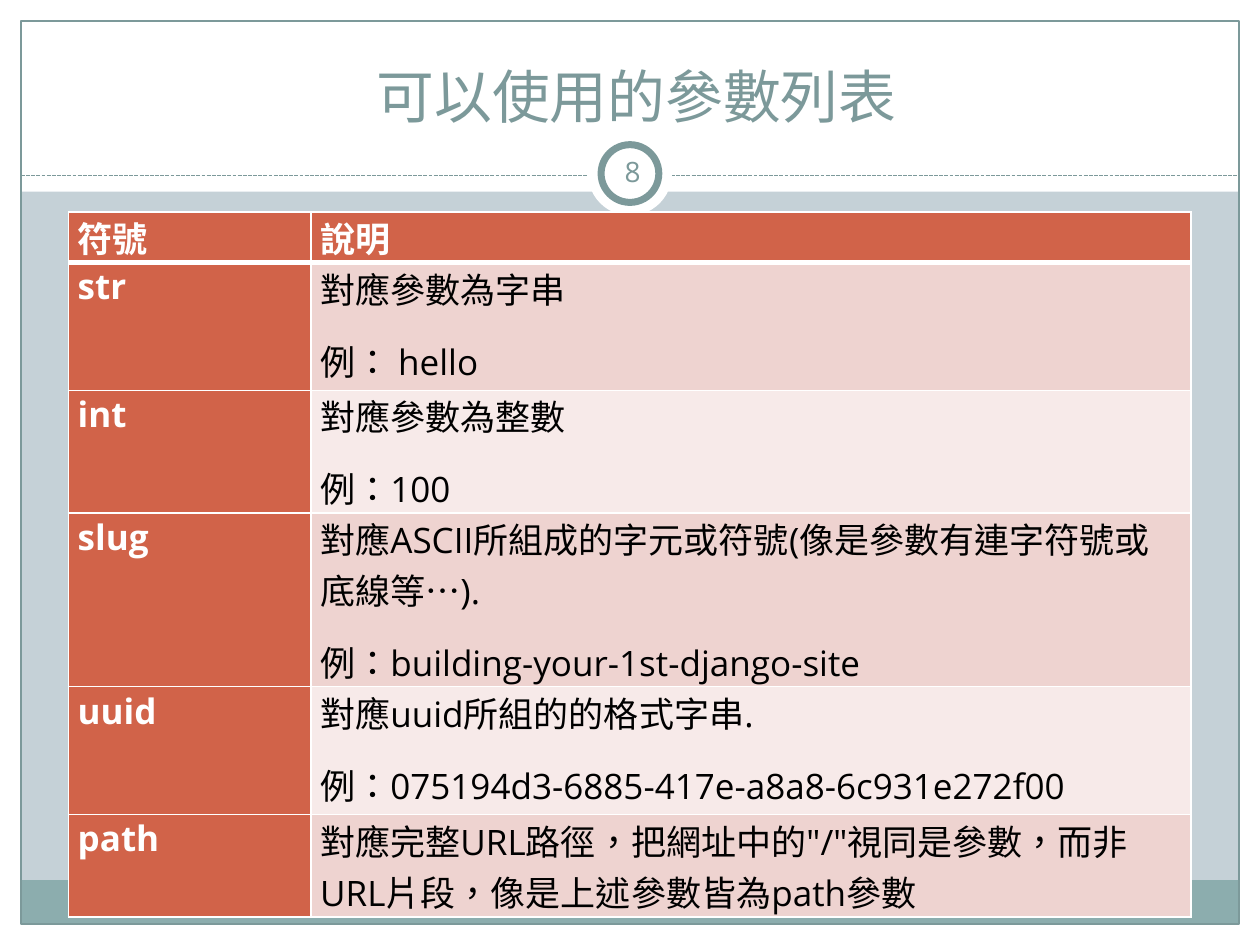
from lxml.etree import SubElement
from pptx import Presentation
from pptx.dml.color import RGBColor
from pptx.enum.dml import MSO_LINE
from pptx.enum.lang import MSO_LANGUAGE_ID as Language
from pptx.enum.shapes import MSO_CONNECTOR, MSO_SHAPE as Shape
from pptx.enum.text import MSO_ANCHOR as Anchor, PP_ALIGN as Align
from pptx.oxml.ns import qn
from pptx.util import Pt

FONT = "Open Sans"
WHITE, TEAL, BAND = "FFFFFF", "7C999A", "8CADAE"
BACKGROUND, ORANGE = "C5D1D7", "D16349"
ROW_TINTS = ("EED3D0", "F7EAE9")
WIDTH, HEIGHT, MARGIN = 720, 540, 12

COLUMN_WIDTHS = (138.6, 503)
ROW_HEIGHTS = (29, 73, 70.2, 99.2, 73, 58.6)
PARAMETERS = (
    ("符號", ("說明",)),
    ("str", ("對應參數為字串", "例： hello")),
    ("int", ("對應參數為整數", "例：100")),
    ("slug", ("對應ASCII所組成的字元或符號(像是參數有連字符號或底線等…). ",
              "例：building-your-1st-django-site")),
    ("uuid", ("對應uuid所組的的格式字串.",
              "例：075194d3-6885-417e-a8a8-6c931e272f00")),
    ("path", ('對應完整URL路徑，把網址中的"/"視同是參數，'
              "而非URL片段，像是上述參數皆為path參數",)),
)


def color(value):
    return RGBColor.from_string(value)


def paint(target, value):
    target.fill.solid()
    target.fill.fore_color.rgb = color(value)


def style(paragraph, size, value, bold=False):
    font = paragraph.font
    font.name, font.size, font.bold = FONT, Pt(size), bold
    font.color.rgb = color(value)
    for run in paragraph.runs:
        run.font.language_id = Language.TRADITIONAL_CHINESE


def add_box(slide, kind, left, top, width, height, fill=None, line=None, weight=0.75):
    box = slide.shapes.add_shape(kind, Pt(left), Pt(top), Pt(width), Pt(height))
    box.shadow.inherit = False
    if fill:
        paint(box, fill)
    else:
        box.fill.background()
    if line:
        box.line.color.rgb = color(line)
        box.line.width = Pt(weight)
    else:
        box.line.fill.background()


def add_dashed_rule(slide, left, right, y):
    rule = slide.shapes.add_connector(MSO_CONNECTOR.STRAIGHT, Pt(left), Pt(y), Pt(right), Pt(y))
    rule.line.color.rgb = color(TEAL)
    rule.line.width = Pt(0.75)
    rule.line.dash_style = MSO_LINE.SQUARE_DOT
    SubElement(rule._element.spPr, qn("a:effectLst"))


def add_text(slide, text, left, top, width, height, size, anchor, inset):
    frame = slide.shapes.add_textbox(Pt(left), Pt(top), Pt(width), Pt(height)).text_frame
    frame.word_wrap = True
    frame.vertical_anchor = anchor
    frame.margin_left = frame.margin_right = Pt(inset)
    frame.margin_top = frame.margin_bottom = Pt(3.6)
    paragraph = frame.paragraphs[0]
    paragraph.text = text
    paragraph.alignment = Align.CENTER
    style(paragraph, size, TEAL)


def set_borders(cell, **weights):
    properties = cell._tc.get_or_add_tcPr()
    for side in "LRTB":
        edge = SubElement(properties, qn("a:ln" + side), w=str(Pt(weights.get(side, 1))))
        fill = SubElement(edge, qn("a:solidFill"))
        SubElement(fill, qn("a:srgbClr"), val=WHITE)


def fill_cell(cell, lines, fill, value, bold, **weights):
    set_borders(cell, **weights)
    paint(cell, fill)
    cell.margin_left = cell.margin_right = Pt(5.4)
    cell.margin_top = cell.margin_bottom = 0
    cell.text = "\n".join(lines)
    for paragraph in cell.text_frame.paragraphs:
        paragraph.space_before = paragraph.space_after = Pt(6)
        style(paragraph, 20, value, bold)


def add_parameter_table(slide, left, top):
    table = slide.shapes.add_table(
        len(PARAMETERS), len(COLUMN_WIDTHS), Pt(left), Pt(top),
        Pt(sum(COLUMN_WIDTHS)), Pt(sum(ROW_HEIGHTS))).table
    for column, width in zip(table.columns, COLUMN_WIDTHS):
        column.width = Pt(width)
    for index, (symbol, description) in enumerate(PARAMETERS):
        table.rows[index].height = Pt(ROW_HEIGHTS[index])
        header = index == 0
        weights = {0: {"B": 3}, 1: {"T": 3}}.get(index, {})
        fill_cell(table.cell(index, 0), (symbol,), ORANGE, WHITE, True, **weights)
        fill_cell(table.cell(index, 1), description,
                  ORANGE if header else ROW_TINTS[(index - 1) % 2],
                  WHITE if header else "000000", header, **weights)


def add_frame(slide):
    inner = WIDTH - 2 * MARGIN
    edges = (
        (0, HEIGHT - MARGIN, WIDTH, MARGIN),
        (0, 0, WIDTH, 109.5),
        (0, 0, MARGIN, HEIGHT),
        (WIDTH - MARGIN, 0, MARGIN, HEIGHT),
    )
    for edge in edges:
        add_box(slide, Shape.RECTANGLE, *edge, fill=WHITE)
    add_box(slide, Shape.RECTANGLE, MARGIN, 503, inner, 24.5, fill=BAND)
    add_box(slide, Shape.RECTANGLE, MARGIN, MARGIN, inner, HEIGHT - 2 * MARGIN, line=TEAL)
    add_dashed_rule(slide, MARGIN, WIDTH - MARGIN, 100.5)


def add_page_badge(slide):
    for diameter, line in ((48, None), (33, TEAL)):
        add_box(slide, Shape.OVAL, WIDTH / 2 - diameter / 2, 99.2 - diameter / 2,
                diameter, diameter, fill=WHITE, line=line, weight=4)
    add_text(slide, "8", 343.5, 80.8, 36, 34.5, 16, Anchor.MIDDLE, 3.6)


def main():
    deck = Presentation()
    deck.slide_width, deck.slide_height = Pt(WIDTH), Pt(HEIGHT)
    slide = deck.slides.add_slide(deck.slide_layouts[6])
    paint(slide.background, BACKGROUND)

    # Frame, title and page number
    add_frame(slide)
    add_text(slide, " 可以使用的參數列表", 24, 18, 672, 60, 33, Anchor.BOTTOM, 7.2)
    add_page_badge(slide)

    # Parameter list
    add_parameter_table(slide, 39, 121)
    deck.save("out.pptx")


main()
